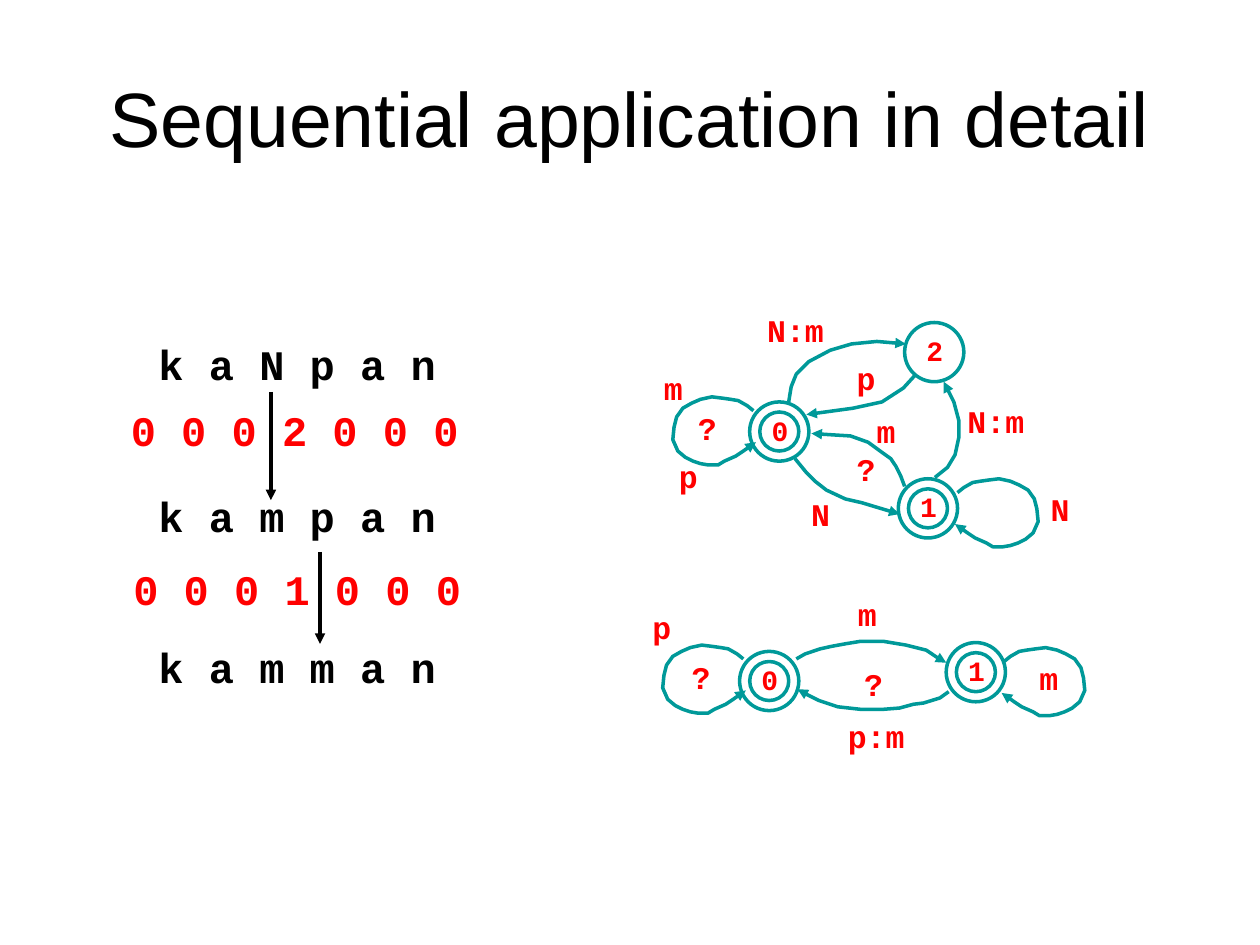
import pptx
import pptx.util
import pptx.dml.color
import pptx.enum.shapes
import pptx.enum.text
import pptx.oxml.ns
import lxml.etree

Inches = pptx.util.Inches
Pt = pptx.util.Pt
ALIGN = pptx.enum.text.PP_ALIGN
BLACK = pptx.dml.color.RGBColor(0x00, 0x00, 0x00)
RED = pptx.dml.color.RGBColor(0xFF, 0x00, 0x00)
TEAL = pptx.dml.color.RGBColor(0x00, 0x99, 0x99)
LINE_WIDTH = Pt(2)

STATE_SIZE, RING_GAP = 0.47, 0.08
LOOP_WIDTH = 0.66
LOOP = [
    (0.64, 0.11), (0.59, 0.07), (0.52, 0.03), (0.46, 0.02), (0.39, 0.01), (0.31, 0),
    (0.22, 0.02), (0.15, 0.05), (0.08, 0.09), (0.03, 0.16), (0.01, 0.24), (0, 0.34),
    (0.04, 0.43), (0.1, 0.48), (0.16, 0.51), (0.22, 0.53), (0.28, 0.54), (0.36, 0.54),
    (0.41, 0.51), (0.5, 0.47), (0.56, 0.43), (0.66, 0.36),
]

# States: name, left, top, is final. Loops: left, top, is mirrored. Labels: text, left, top.
NASAL_RULE = {
    "states": [("0", 0.78, 0.77, True), ("1", 1.96, 1.38, True), ("2", 2.01, 0.14, False)],
    "loops": [(0.17, 0.73, False), (2.41, 1.38, True)],
    "arcs": [
        [(1.09, 0.77), (1.11, 0.65), (1.15, 0.55), (1.25, 0.45), (1.42, 0.36),
         (1.59, 0.31), (1.79, 0.29), (2.02, 0.31)],
        [(2.1, 0.55), (2, 0.66), (1.83, 0.77), (1.6, 0.82), (1.23, 0.87)],
        [(1.14, 1.22), (1.23, 1.33), (1.3, 1.4), (1.39, 1.47), (1.54, 1.54),
         (1.67, 1.57), (1.97, 1.66)],
        [(2.25, 1.37), (2.35, 1.29), (2.41, 1.19), (2.44, 1.05), (2.44, 0.92),
         (2.4, 0.77), (2.32, 0.61)],
        [(2.01, 1.44), (1.98, 1.36), (1.94, 1.28), (1.9, 1.22), (1.83, 1.17),
         (1.72, 1.09), (1.58, 1.04), (1.42, 1.03), (1.27, 1.02)],
    ],
    "labels": [
        ("N:m", 0.82, 0), ("N", 1.17, 1.46), ("?", 1.53, 1.1), ("?", 0.27, 0.78),
        ("p", 1.53, 0.38), ("N:m", 2.41, 0.72), ("m", 0, 0.46), ("p", 0.12, 1.16),
        ("N", 3.07, 1.42), ("m", 1.69, 0.8),
    ],
}
STOP_RULE = {
    "states": [("0", 0.79, 0.5, True), ("1", 2.43, 0.43, True)],
    "loops": [(0.18, 0.45, False), (2.87, 0.47, True)],
    "arcs": [
        [(1.24, 0.56), (1.31, 0.52), (1.43, 0.48), (1.52, 0.46), (1.63, 0.44), (1.75, 0.42),
         (1.93, 0.42), (2.11, 0.45), (2.27, 0.49), (2.36, 0.55), (2.43, 0.59)],
        [(2.45, 0.82), (2.38, 0.87), (2.25, 0.91), (2.17, 0.92), (2.06, 0.95), (1.93, 0.96),
         (1.75, 0.96), (1.57, 0.94), (1.42, 0.89), (1.32, 0.84), (1.25, 0.8)],
    ],
    "labels": [
        ("p:m", 1.55, 0.97), ("?", 1.68, 0.56), ("?", 0.31, 0.5),
        ("m", 1.63, 0), ("p", 0, 0.11), ("m", 3.07, 0.51),
    ],
}


def format_font(font, **values):
    color = values.pop("color")
    for name, value in values.items():
        setattr(font, name, value)
    font.color.rgb = color


def add_text(shapes, lines, left, top, width, height, size, color,
             alignment=ALIGN.LEFT, gap=0):
    """Add a Courier box; gap is the space in points between its lines."""
    frame = shapes.add_textbox(Inches(left), Inches(top), Inches(width), Inches(height)).text_frame
    frame.word_wrap = True
    for index, line in enumerate(lines):
        paragraph = frame.add_paragraph() if index else frame.paragraphs[0]
        paragraph.alignment = alignment
        if index:
            paragraph.space_before = Pt(gap)
        run = paragraph.add_run()
        run.text = line
        format_font(run.font, name="Courier New", size=Pt(size), bold=True, color=color)


def format_line(line, color, arrow=False):
    line.width = LINE_WIDTH
    line.color.rgb = color
    if arrow:
        tail = lxml.etree.SubElement(line._get_or_add_ln(), pptx.oxml.ns.qn("a:tailEnd"))
        tail.set("type", "triangle")


def add_arc(shapes, points, left, top):
    start, *rest = [(Inches(left + x), Inches(top + y)) for x, y in points]
    builder = shapes.build_freeform(*start, scale=1.0)
    builder.add_line_segments(rest, close=False)
    arc = builder.convert_to_shape()
    arc.shadow.inherit = False
    arc.fill.background()
    format_line(arc.line, TEAL, arrow=True)


def add_state(shapes, name, left, top, is_final):
    for inset in ([RING_GAP, 0] if is_final else [0]):
        diameter = Inches(STATE_SIZE - 2 * inset)
        ring = shapes.add_shape(pptx.enum.shapes.MSO_SHAPE.OVAL, Inches(left + inset),
                                Inches(top + inset), diameter, diameter)
        ring.shadow.inherit = False
        ring.fill.background()
        format_line(ring.line, TEAL)
    add_text(shapes, [name], left + 0.07, top + 0.04, 0.34, 0.36, 16, RED, ALIGN.CENTER)


def add_automaton(slide, automaton, left, top):
    shapes = slide.shapes.add_group_shape().shapes
    for name, x, y, is_final in automaton["states"]:
        add_state(shapes, name, left + x, top + y, is_final)
    for x, y, is_mirrored in automaton["loops"]:
        points = [(LOOP_WIDTH - px, py) for px, py in LOOP] if is_mirrored else LOOP
        add_arc(shapes, points, left + x, top + y)
    for points in automaton["arcs"]:
        add_arc(shapes, points, left, top)
    for text, x, y in automaton["labels"]:
        add_text(shapes, [text], left + x, top + y, 0.2 + 0.17 * len(text), 0.4, 18, RED)


def add_derivation(slide, left, top):
    """Place the three word forms, the state sequences and the arrows between them."""
    add_text(slide.shapes, ["k a N p a n", "k a m p a n", "k a m m a n"],
             left + 0.22, top, 2.5, 2.9, 24, BLACK, gap=57.6)
    for x, start, end in [(1.21, 0.47, 1.33), (1.6, 1.74, 2.47)]:
        arrow = slide.shapes.add_connector(
            pptx.enum.shapes.MSO_CONNECTOR.STRAIGHT,
            Inches(left + x), Inches(top + start), Inches(left + x), Inches(top + end))
        format_line(arrow.line, BLACK, arrow=True)
        lxml.etree.SubElement(arrow._element.spPr, pptx.oxml.ns.qn("a:effectLst"))
    for states, x, y in [("0 0 0 2 0 0 0", 0, 0.52), ("0 0 0 1 0 0 0", 0.02, 1.78)]:
        add_text(slide.shapes, [states], left + x, top + y, 3, 0.5, 24, RED)


def set_title(slide, text, left, top, width, height):
    title = slide.shapes.title
    box = {"left": left, "top": top, "width": width, "height": height}
    for name, value in box.items():
        setattr(title, name, Inches(value))
    title.text_frame.vertical_anchor = pptx.enum.text.MSO_ANCHOR.MIDDLE
    paragraph = title.text_frame.paragraphs[0]
    paragraph.alignment = ALIGN.CENTER
    run = paragraph.add_run()
    run.text = text
    format_font(run.font, name="Arial", size=Pt(44), color=BLACK)


def main():
    presentation = pptx.Presentation()
    presentation.slide_width, presentation.slide_height = Inches(10), Inches(7.5)
    slide = presentation.slides.add_slide(presentation.slide_layouts[5])
    set_title(slide, "Sequential application in detail", 0.5, 0.3, 9, 1.25)
    add_automaton(slide, NASAL_RULE, 5.17, 2.42)
    add_automaton(slide, STOP_RULE, 5.08, 4.67)
    add_derivation(slide, 0.94, 2.64)
    presentation.save("out.pptx")


if __name__ == "__main__":
    main()
